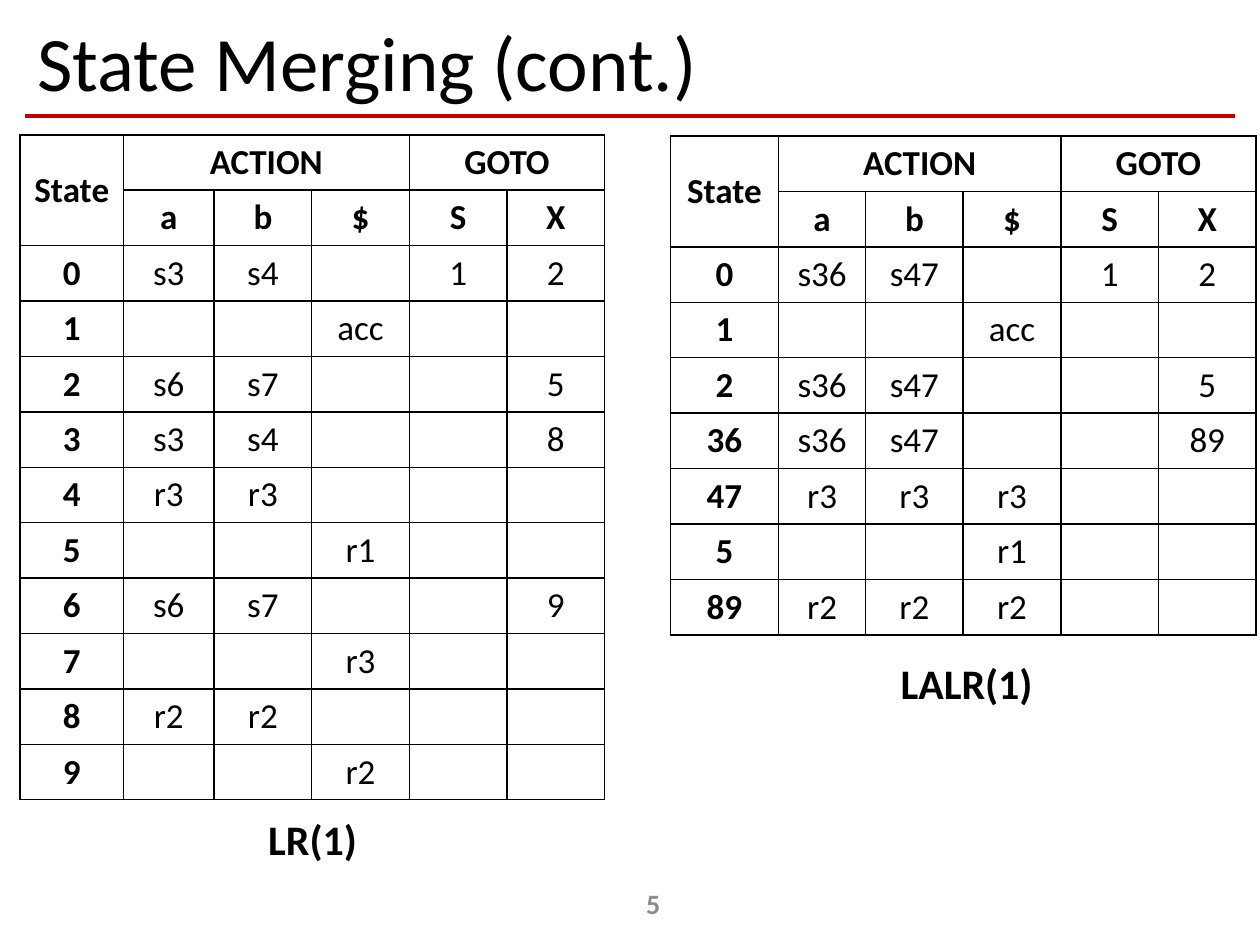
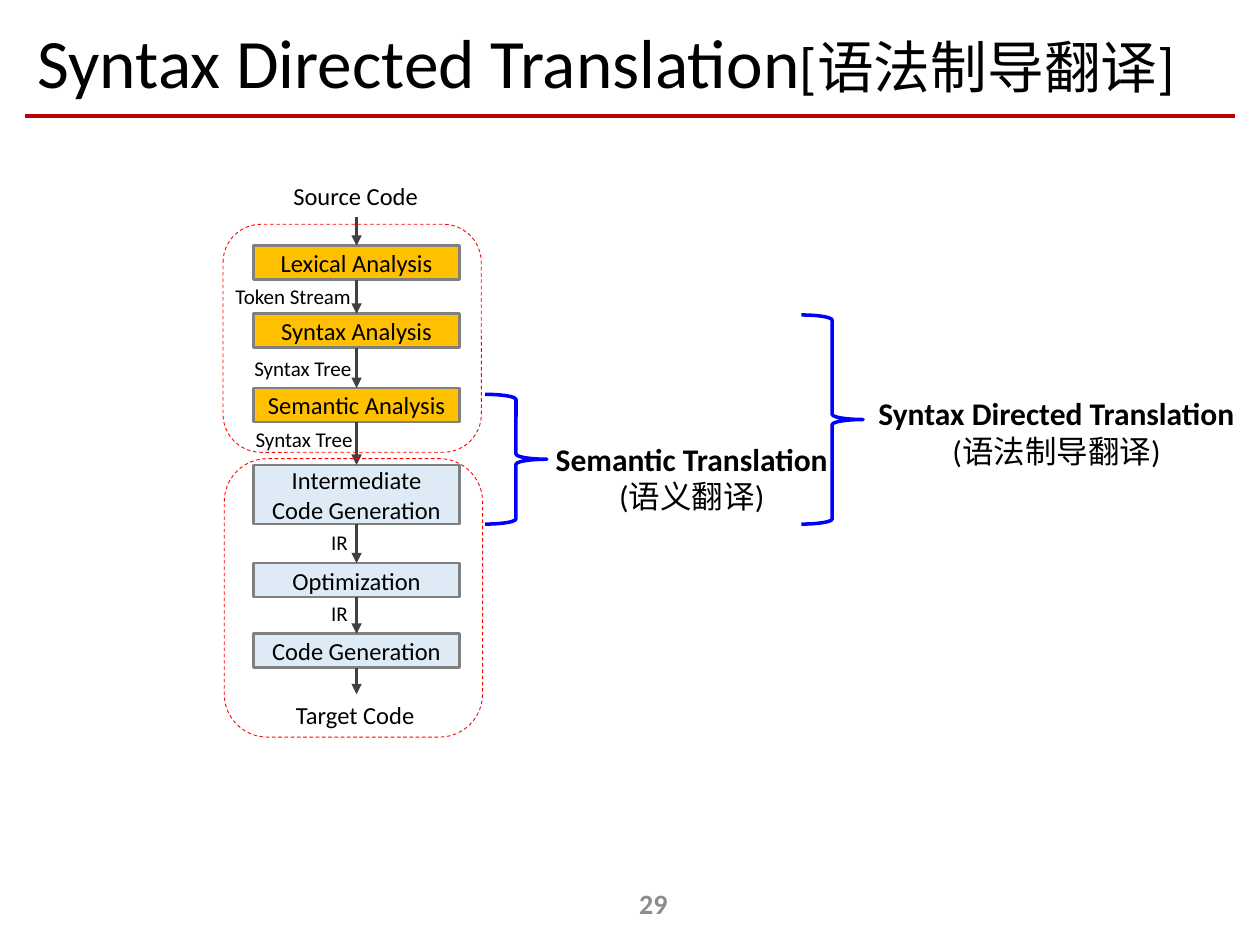
from itertools import pairwise

from lxml.etree import SubElement
from pptx import Presentation
from pptx.dml.color import RGBColor
from pptx.enum.dml import MSO_LINE
from pptx.enum.shapes import MSO_CONNECTOR, MSO_SHAPE as SHAPE
from pptx.enum.text import MSO_ANCHOR as ANCHOR, PP_ALIGN as ALIGN
from pptx.oxml import parse_xml
from pptx.oxml.ns import nsdecls, qn
from pptx.util import Inches, Pt

FONT = "Calibri"
BLACK, RED_RULE, PAGE_GREY = "000000", "C00000", "8C8C8C"
FRONT_END, BACK_END, BOX_EDGE = "FFC000", "DEEBF7", "808080"
ARROW, PHASE_EDGE, BRACE = "404040", "FF0000", "0000FF"

BOX_LEFT, BOX_WIDTH, AXIS = 2.01, 1.64, 2.83
ROW_HEIGHT = 0.44

STEPS = [  # text, top, height, fill
    ("Lexical Analysis", 1.95, 0.27, FRONT_END),
    ("Syntax Analysis", 2.49, 0.27, FRONT_END),
    ("Semantic Analysis", 3.08, 0.27, FRONT_END),
    ("Intermediate Code Generation", 3.69, 0.47, BACK_END),
    ("Optimization", 4.47, 0.27, BACK_END),
    ("Code Generation", 5.03, 0.27, BACK_END),
]
FLOW_LABELS = [  # text, box, size
    ("Source Code", (2.23, 1.39, 1.2, 0.34), 14),
    ("Token Stream", (1.77, 2.2, 1.15, 0.3), 12),
    ("Syntax Tree", (1.92, 2.77, 1, 0.3), 12),
    ("Syntax Tree", (1.93, 3.34, 1, 0.3), 12),
    ("IR", (2.53, 4.15, 0.34, 0.3), 12),
    ("IR", (2.53, 4.72, 0.34, 0.3), 12),
    ("Target Code", (2.25, 5.51, 1.15, 0.34), 14),
]
LR_ROWS = [
    ("0", "s3", "s4", "", "1", "2"),
    ("1", "", "", "acc", "", ""),
    ("2", "s6", "s7", "", "", "5"),
    ("3", "s3", "s4", "", "", "8"),
    ("4", "r3", "r3", "", "", ""),
    ("5", "", "", "r1", "", ""),
    ("6", "s6", "s7", "", "", "9"),
    ("7", "", "", "r3", "", ""),
    ("8", "r2", "r2", "", "", ""),
    ("9", "", "", "r2", "", ""),
]
LALR_ROWS = [
    ("0", "s36", "s47", "", "1", "2"),
    ("1", "", "", "acc", "", ""),
    ("2", "s36", "s47", "", "", "5"),
    ("36", "s36", "s47", "", "", "89"),
    ("47", "r3", "r3", "r3", "", ""),
    ("5", "", "", "r1", "", ""),
    ("89", "r2", "r2", "r2", "", ""),
]


def rgb(hex_color):
    return RGBColor.from_string(hex_color)


def inches(*values):
    return [Inches(v) for v in values]


def add_run(p, text, size, color=BLACK, bold=False):
    r = p.add_run()
    r.text = text
    for name, value in {"name": FONT, "size": Pt(size), "bold": bold}.items():
        setattr(r.font, name, value)
    r.font.color.rgb = rgb(color)


def add_text(s, box, paragraphs, align=ALIGN.LEFT, anchor=ANCHOR.TOP, wrap=False):
    """Each paragraph is a list of add_run argument tuples."""
    tf = s.shapes.add_textbox(*inches(*box)).text_frame
    tf.word_wrap, tf.vertical_anchor = wrap, anchor
    for i, runs in enumerate(paragraphs):
        p = tf.add_paragraph() if i else tf.paragraphs[0]
        p.alignment = align
        for run in runs:
            add_run(p, *run)
    return tf


def add_line(s, start, end, color, width, arrow=False):
    line = s.shapes.add_connector(MSO_CONNECTOR.STRAIGHT, *inches(*start, *end))
    line.line.color.rgb = rgb(color)
    line.line.width = Pt(width)
    if arrow:
        SubElement(line.line._get_or_add_ln(), qn("a:tailEnd"), type="triangle")
    SubElement(line._element.spPr, qn("a:effectLst"))


def add_outline(s, kind, box, color, width, fill=None, dash=None):
    sp = s.shapes.add_shape(kind, *inches(*box))
    sp.shadow.inherit = False
    if fill:
        sp.fill.solid()
        sp.fill.fore_color.rgb = rgb(fill)
    else:
        sp.fill.background()
    sp.line.color.rgb = rgb(color)
    sp.line.width = Pt(width)
    if dash:
        sp.line.dash_style = dash
    return sp


def add_step(s, text, top, height, fill):
    sp = add_outline(s, SHAPE.RECTANGLE, (BOX_LEFT, top, BOX_WIDTH, height),
                     BOX_EDGE, 1.5, fill)
    tf = sp.text_frame
    tf.word_wrap, tf.vertical_anchor = True, ANCHOR.MIDDLE
    tf.paragraphs[0].alignment = ALIGN.CENTER
    add_run(tf.paragraphs[0], text, 14)


def add_brace(s, box, label_box, english, chinese):
    add_outline(s, SHAPE.RIGHT_BRACE, box, BRACE, 2)
    add_text(s, label_box, [[(english, 18, BLACK, True)], [(chinese, 18)]],
             ALIGN.CENTER)


def border_cell(cell):
    tc_pr = cell._tc.get_or_add_tcPr()
    for i, side in enumerate("LRTB"):
        tc_pr.insert(i, parse_xml(
            f'<a:ln{side} {nsdecls("a")} w="12700"><a:solidFill>'
            f'<a:srgbClr val="{BLACK}"/></a:solidFill></a:ln{side}>'))


def add_parse_table(s, left, top, widths, states):
    rows = [("State", "ACTION", "", "", "GOTO", ""),
            ("", "a", "b", "$", "S", "X"), *states]
    table = s.shapes.add_table(
        len(rows), len(widths),
        *inches(left, top, sum(widths), ROW_HEIGHT * len(rows))).table
    table.first_row = table.horz_banding = False
    for column, width in zip(table.columns, widths):
        column.width = Inches(width)
    for y, row in enumerate(rows):
        table.rows[y].height = Inches(ROW_HEIGHT)
        for x, text in enumerate(row):
            cell = table.cell(y, x)
            cell.fill.background()
            border_cell(cell)
            if text:
                p = cell.text_frame.paragraphs[0]
                p.alignment = ALIGN.CENTER
                add_run(p, text, 20, bold=y < 2 or x == 0)
    for first, last in [((0, 0), (1, 0)), ((0, 1), (0, 3)), ((0, 4), (0, 5))]:
        table.cell(*first).merge(table.cell(*last))
    table.cell(0, 0).vertical_anchor = ANCHOR.MIDDLE


def new_slide(prs, number, title_runs):
    s = prs.slides.add_slide(prs.slide_layouts[6])
    add_line(s, (0.2, 0.92), (9.8, 0.92), RED_RULE, 2.5)
    tf = add_text(s, (0.2, 0.13, 9.61, 0.79), [title_runs],
                  anchor=ANCHOR.MIDDLE, wrap=True)
    tf.paragraphs[0].line_spacing = 0.9
    add_text(s, (4.06, 6.97, 2.25, 0.4), [[(number, 16, PAGE_GREY, True)]],
             ALIGN.CENTER, ANCHOR.MIDDLE, wrap=True)
    return s


def merging_slide(prs):
    s = new_slide(prs, "5", [("State Merging (cont.)", 44)])
    add_parse_table(s, 0.16, 1.07, [0.82, 0.72] + [0.775] * 4, LR_ROWS)
    add_parse_table(s, 5.32, 1.08, [0.86, 0.69] + [0.775] * 4, LALR_ROWS)
    add_text(s, (2.03, 6.41, 0.91, 0.5), [[("LR(1)", 24, BLACK, True)]])
    add_text(s, (7.05, 5.17, 1.26, 0.5), [[("LALR(1)", 24, BLACK, True)]])


def translation_slide(prs):
    s = new_slide(prs, "29", [("Syntax Directed Translation", 39.6),
                              ("[语法制导翻译]", 32.4)])
    for step in STEPS:
        add_step(s, *step)
    edges = [(1.45, 0.27), *[step[1:3] for step in STEPS], (5.51, 0)]
    for (top, height), (next_top, _) in pairwise(edges):
        add_line(s, (AXIS, top + height), (AXIS, next_top), ARROW, 1.5, arrow=True)
    for text, box, size in FLOW_LABELS:
        add_text(s, box, [[(text, size)]])
    for box in [(1.77, 1.78, 2.05, 1.81), (1.78, 3.64, 2.05, 2.21)]:
        add_outline(s, SHAPE.ROUNDED_RECTANGLE, box, PHASE_EDGE, 0.5,
                    dash=MSO_LINE.DASH)
    add_brace(s, (3.85, 3.13, 0.49, 1.03), (4.3, 3.44, 2.38, 0.71),
              "Semantic Translation", "(语义翻译)")
    add_brace(s, (6.36, 2.5, 0.49, 1.66), (6.86, 3.08, 3.05, 0.71),
              "Syntax Directed Translation", "(语法制导翻译)")


def main():
    prs = Presentation()
    prs.slide_width, prs.slide_height = inches(10, 7.5)
    merging_slide(prs)
    translation_slide(prs)
    prs.save("out.pptx")


if __name__ == "__main__":
    main()
